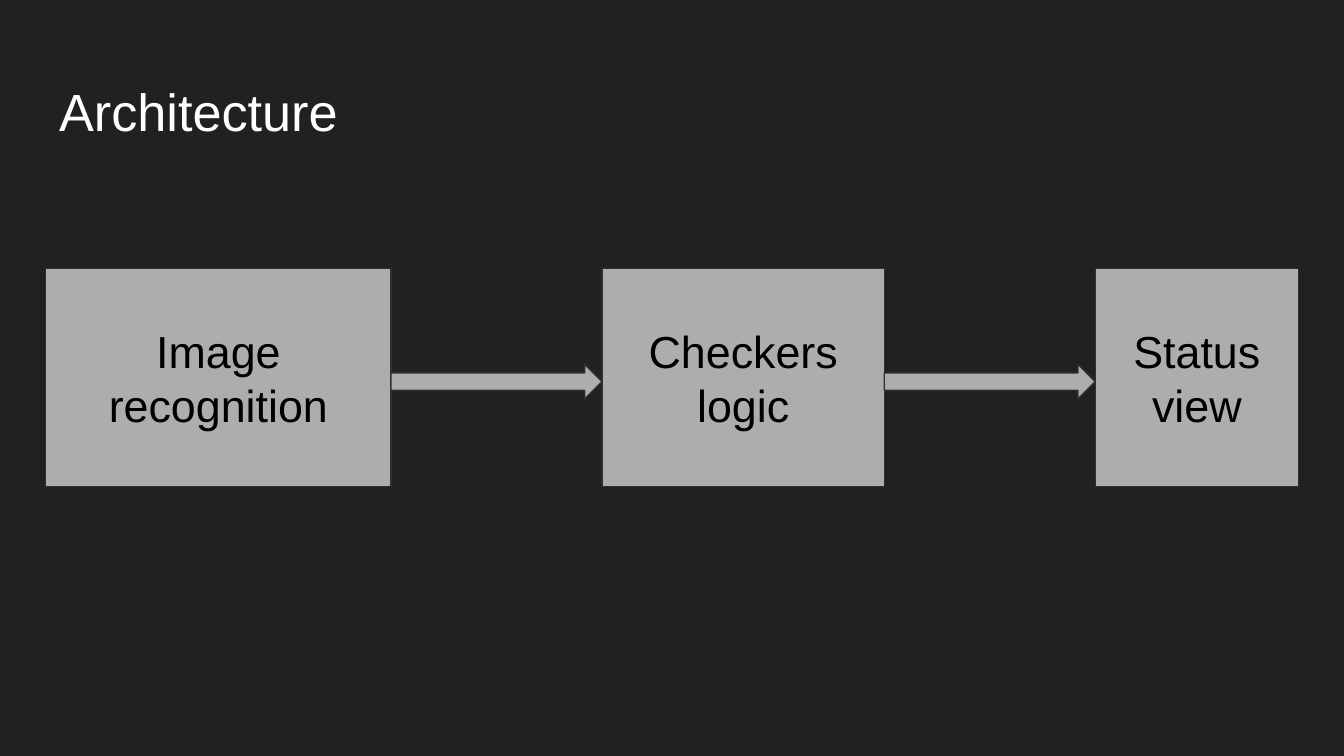
from dataclasses import dataclass

from pptx import Presentation
from pptx.dml.color import RGBColor
from pptx.enum.shapes import MSO_SHAPE
from pptx.enum.text import MSO_ANCHOR, PP_ALIGN
from pptx.util import Inches, Pt

RECTANGLE = MSO_SHAPE.RECTANGLE
RIGHT_ARROW = MSO_SHAPE.RIGHT_ARROW
TOP, MIDDLE = MSO_ANCHOR.TOP, MSO_ANCHOR.MIDDLE
LEFT, CENTER = PP_ALIGN.LEFT, PP_ALIGN.CENTER
TITLE_ONLY_LAYOUT = 5


@dataclass(frozen=True)
class Theme:
    font: str = "Arial"
    background: RGBColor = RGBColor(0x21, 0x21, 0x21)
    title_color: RGBColor = RGBColor(0xFF, 0xFF, 0xFF)
    fill: RGBColor = RGBColor(0xAD, 0xAD, 0xAD)
    outline: RGBColor = RGBColor(0x30, 0x30, 0x30)
    label_color: RGBColor = RGBColor(0, 0, 0)
    title_size: Pt = Pt(28)
    label_size: Pt = Pt(24)
    line_width: Pt = Pt(0.75)
    inset: Inches = Inches(0.1)


THEME = Theme()
MARGIN = 0.34
STAGE_TOP, STAGE_HEIGHT = 2, 1.62
ARROW_TOP, ARROW_LENGTH, ARROW_HEIGHT = 2.71, 1.57, 0.26
STAGES = [("Image recognition", 2.57), ("Checkers logic", 2.1), ("Status view", 1.51)]


def set_text(shape, text, size, color, alignment, anchor):
    frame = shape.text_frame
    frame.word_wrap = True
    frame.vertical_anchor = anchor
    frame.margin_left = frame.margin_right = THEME.inset
    frame.margin_top = frame.margin_bottom = THEME.inset
    frame.text = text
    paragraph = frame.paragraphs[0]
    paragraph.alignment = alignment
    paragraph.font.name = THEME.font
    paragraph.font.size = size
    paragraph.font.color.rgb = color


def add_title(slide, text):
    title = slide.shapes.title
    title.left, title.top = Inches(MARGIN), Inches(0.49)
    title.width, title.height = Inches(9.32), Inches(0.63)
    set_text(title, text, THEME.title_size, THEME.title_color, LEFT, TOP)


def add_flow_shape(slide, kind, left, top, width, height):
    shape = slide.shapes.add_shape(
        kind, Inches(left), Inches(top), Inches(width), Inches(height)
    )
    shape.shadow.inherit = False
    shape.fill.solid()
    shape.fill.fore_color.rgb = THEME.fill
    shape.line.color.rgb = THEME.outline
    shape.line.width = THEME.line_width
    return shape


def add_stage(slide, text, left, width):
    stage = add_flow_shape(slide, RECTANGLE, left, STAGE_TOP, width, STAGE_HEIGHT)
    set_text(stage, text, THEME.label_size, THEME.label_color, CENTER, MIDDLE)


def add_arrow(slide, left):
    add_flow_shape(slide, RIGHT_ARROW, left, ARROW_TOP, ARROW_LENGTH, ARROW_HEIGHT)


def add_flow(slide):
    """Lay the stages out from left to right, then put an arrow in each gap."""
    left = MARGIN
    arrow_lefts = []
    for text, width in STAGES:
        add_stage(slide, text, left, width)
        arrow_lefts.append(left + width)
        left += width + ARROW_LENGTH
    for arrow_left in reversed(arrow_lefts[:-1]):
        add_arrow(slide, arrow_left)


def main():
    presentation = Presentation()
    presentation.slide_width = Inches(10)
    presentation.slide_height = presentation.slide_width * 9 // 16
    layout = presentation.slide_layouts[TITLE_ONLY_LAYOUT]
    slide = presentation.slides.add_slide(layout)
    slide.background.fill.solid()
    slide.background.fill.fore_color.rgb = THEME.background
    add_title(slide, "Architecture")
    add_flow(slide)
    presentation.save("out.pptx")


if __name__ == "__main__":
    main()
